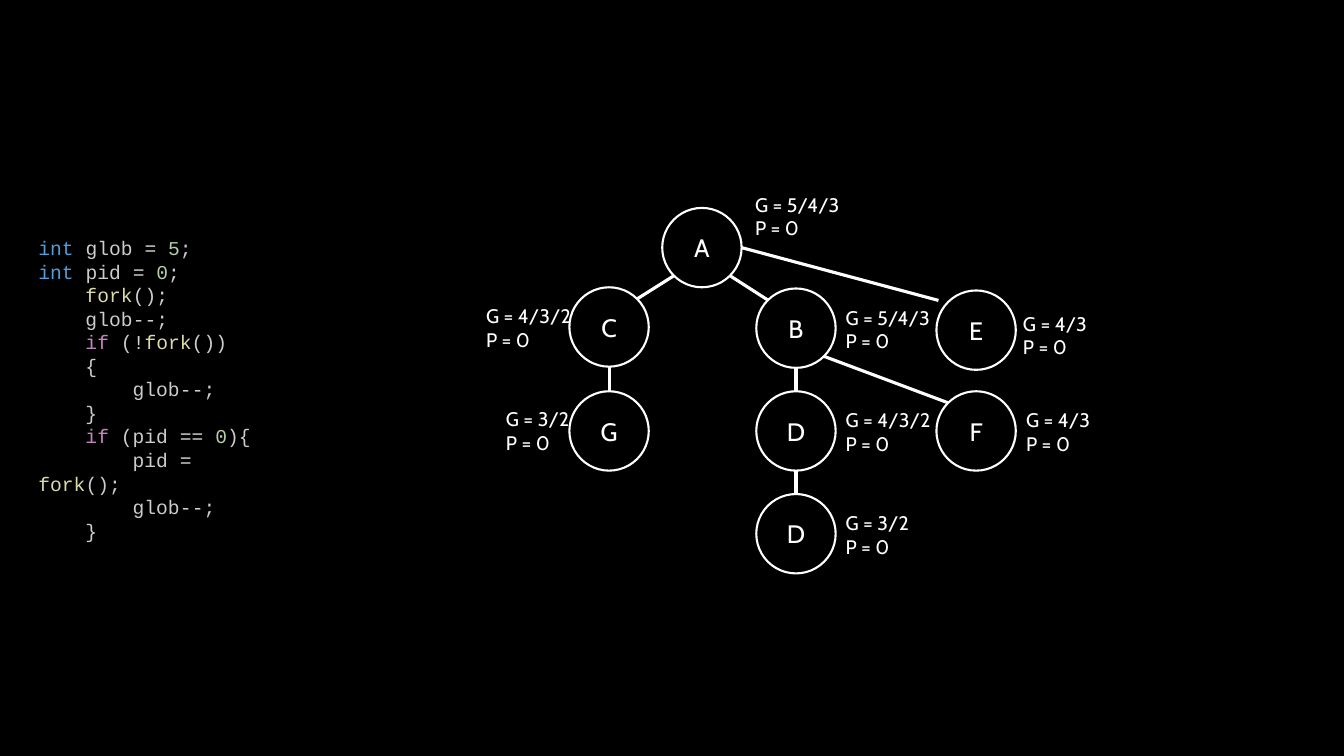
from lxml import etree
from pptx import Presentation
from pptx.dml.color import RGBColor
from pptx.enum import shapes, text
from pptx.oxml import ns
from pptx.util import Cm, Pt

KEYWORD, CONTROL, CALL = "569CD6", "C586C0", "DCDCAA"
NUMBER, OPERATOR, PLAIN = "B5CEA8", "D4D4D4", "CCCCCC"

DECREMENT = [("        glob", PLAIN), ("--", OPERATOR), (";", PLAIN)]
CODE = [
    [("int", KEYWORD), (" glob ", PLAIN), ("= ", OPERATOR), ("5", NUMBER), (";", PLAIN)],
    [("int", KEYWORD), (" pid ", PLAIN), ("= ", OPERATOR), ("0", NUMBER), (";", PLAIN)],
    [("    fork", CALL), ("();", PLAIN)],
    [("    glob", PLAIN), ("--", OPERATOR), (";", PLAIN)],
    [("    if", CONTROL), (" (", PLAIN), ("!", OPERATOR), ("fork", CALL), ("())", PLAIN)],
    [("    {", PLAIN)],
    DECREMENT,
    [("    }", PLAIN)],
    [("    if", CONTROL), (" (pid ", PLAIN), ("== ", OPERATOR), ("0", NUMBER), ("){", PLAIN)],
    [("        pid ", PLAIN), ("= ", OPERATOR), ("fork", CALL), ("();", PLAIN)],
    DECREMENT,
    [("    }", PLAIN)],
]

RADIUS = 1.0
DIAGONAL = 0.71
TOP, BOTTOM, RIGHT = (0, -1), (0, 1), (1, 0)
TOP_LEFT, TOP_RIGHT = (-DIAGONAL, -DIAGONAL), (DIAGONAL, -DIAGONAL)
BOTTOM_LEFT, BOTTOM_RIGHT = (-DIAGONAL, DIAGONAL), (DIAGONAL, DIAGONAL)
BESIDE_TOP_LEFT = (-0.95, -0.75)

ROW_3, ROW_4 = 10.86, 13.45
COLUMN_C, COLUMN_B, COLUMN_E = 15.35, 20.06, 24.6
LABEL_B = 21.18

# Process: centre, letter, label position, value of G
PROCESSES = {
    "A": ((17.69, 6.24), "A", (18.9, 4.72), "5/4/3"),
    "B": ((COLUMN_B, 8.27), "B", (LABEL_B, 7.57), "5/4/3"),
    "C": ((COLUMN_C, 8.24), "C", (12.12, 7.54), "4/3/2"),
    "D": ((COLUMN_B, ROW_3), "D", (LABEL_B, 10.16), "4/3/2"),
    "E": ((COLUMN_E, 8.32), "E", (25.65, 7.72), "4/3"),
    "F": ((COLUMN_E, ROW_3), "F", (25.73, 10.16), "4/3"),
    "G": ((COLUMN_C, ROW_3), "G", (12.62, 10.13), "3/2"),
    "D child": ((COLUMN_B, ROW_4), "D", (LABEL_B, 12.75), "3/2"),
}
FORKS = [
    ("A", BOTTOM_RIGHT, "B", TOP_LEFT),
    ("A", BOTTOM_LEFT, "C", TOP_RIGHT),
    ("A", RIGHT, "E", BESIDE_TOP_LEFT),
    ("B", BOTTOM, "D", TOP),
    ("B", BOTTOM_RIGHT, "F", TOP_LEFT),
    ("C", BOTTOM, "G", TOP),
    ("D", BOTTOM, "D child", TOP),
]


def color(value):
    return RGBColor.from_string(value)


def write(paragraph, words, size=14, font="Cabin", fill="FFFFFF"):
    run = paragraph.add_run()
    run.text = words
    run.font.size = Pt(size)
    run.font.name = font
    run.font.color.rgb = color(fill)


class ProcessTree:
    """Draws the code and the tree of forked processes on one slide."""

    line_color = "FFFFFF"
    inset = Cm(0.13)

    def __init__(self, slide):
        self.slide = slide
        slide.background.fill.solid()
        slide.background.fill.fore_color.rgb = color("000000")

    def box(self, left, top, width, height, lines, wrap, **style):
        shape = self.slide.shapes.add_textbox(Cm(left), Cm(top), Cm(width), Cm(height))
        frame = shape.text_frame
        frame.word_wrap = wrap
        frame.auto_size = text.MSO_AUTO_SIZE.SHAPE_TO_FIT_TEXT
        frame.margin_left = frame.margin_right = self.inset
        frame.margin_top = frame.margin_bottom = self.inset
        for index, line in enumerate(lines):
            paragraph = frame.add_paragraph() if index else frame.paragraphs[0]
            for words, fill in line:
                write(paragraph, words, fill=fill, **style)

    def node(self, center, letter):
        x, y = center
        shape = self.slide.shapes.add_shape(
            shapes.MSO_SHAPE.OVAL, Cm(x - RADIUS), Cm(y - RADIUS),
            Cm(2 * RADIUS), Cm(2 * RADIUS))
        shape.shadow.inherit = False
        shape.fill.background()
        shape.line.color.rgb = color(self.line_color)
        shape.line.width = Pt(1.5)
        frame = shape.text_frame
        frame.vertical_anchor = text.MSO_ANCHOR.MIDDLE
        frame.paragraphs[0].alignment = text.PP_ALIGN.CENTER
        write(frame.paragraphs[0], letter, size=18)

    def label(self, position, value):
        width = 2.46 if len(value) > 3 else 2.06
        lines = [[(f"G = {value}", "FFFFFF")], [("P = 0", "FFFFFF")]]
        self.box(*position, width, 1.45, lines, wrap=False)

    def edge(self, parent, start_side, child, end_side):
        ends = [Cm(middle + RADIUS * offset)
                for center, side in ((parent, start_side), (child, end_side))
                for middle, offset in zip(center, side)]
        connector = self.slide.shapes.add_connector(shapes.MSO_CONNECTOR.STRAIGHT, *ends)
        connector.line.color.rgb = color(self.line_color)
        connector.line.width = Pt(2.25)
        etree.SubElement(connector._element.spPr, ns.qn("a:effectLst"))


def main():
    presentation = Presentation()
    presentation.slide_width, presentation.slide_height = Cm(33.87), Cm(19.05)
    tree = ProcessTree(presentation.slides.add_slide(presentation.slide_layouts[6]))
    tree.box(0.84, 5.82, 6.3, 8.05, CODE, wrap=True, font="Courier New")
    for center, letter, position, value in PROCESSES.values():
        tree.node(center, letter)
        tree.label(position, value)
    for parent, start_side, child, end_side in FORKS:
        tree.edge(PROCESSES[parent][0], start_side, PROCESSES[child][0], end_side)
    presentation.save("out.pptx")


if __name__ == "__main__":
    main()
